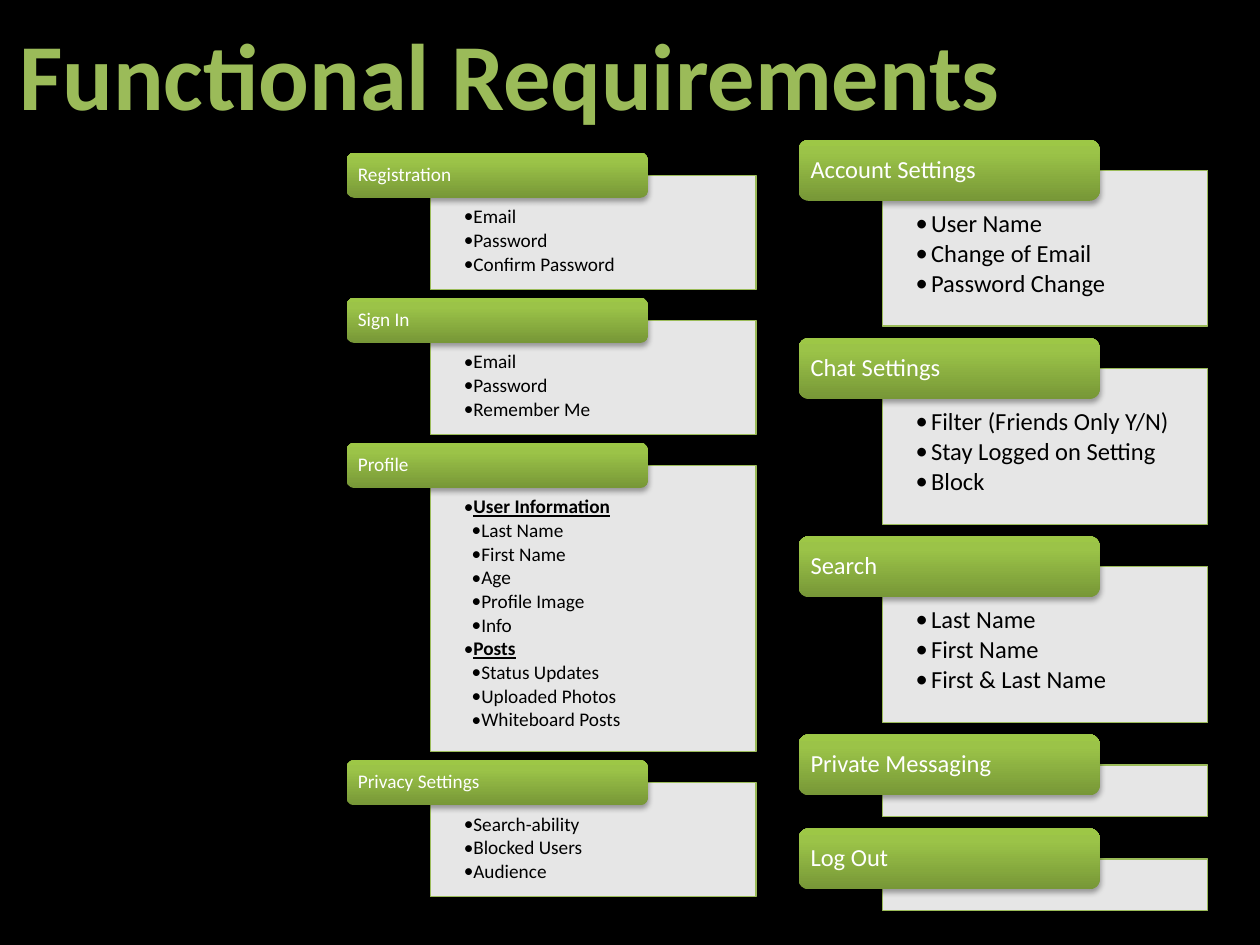
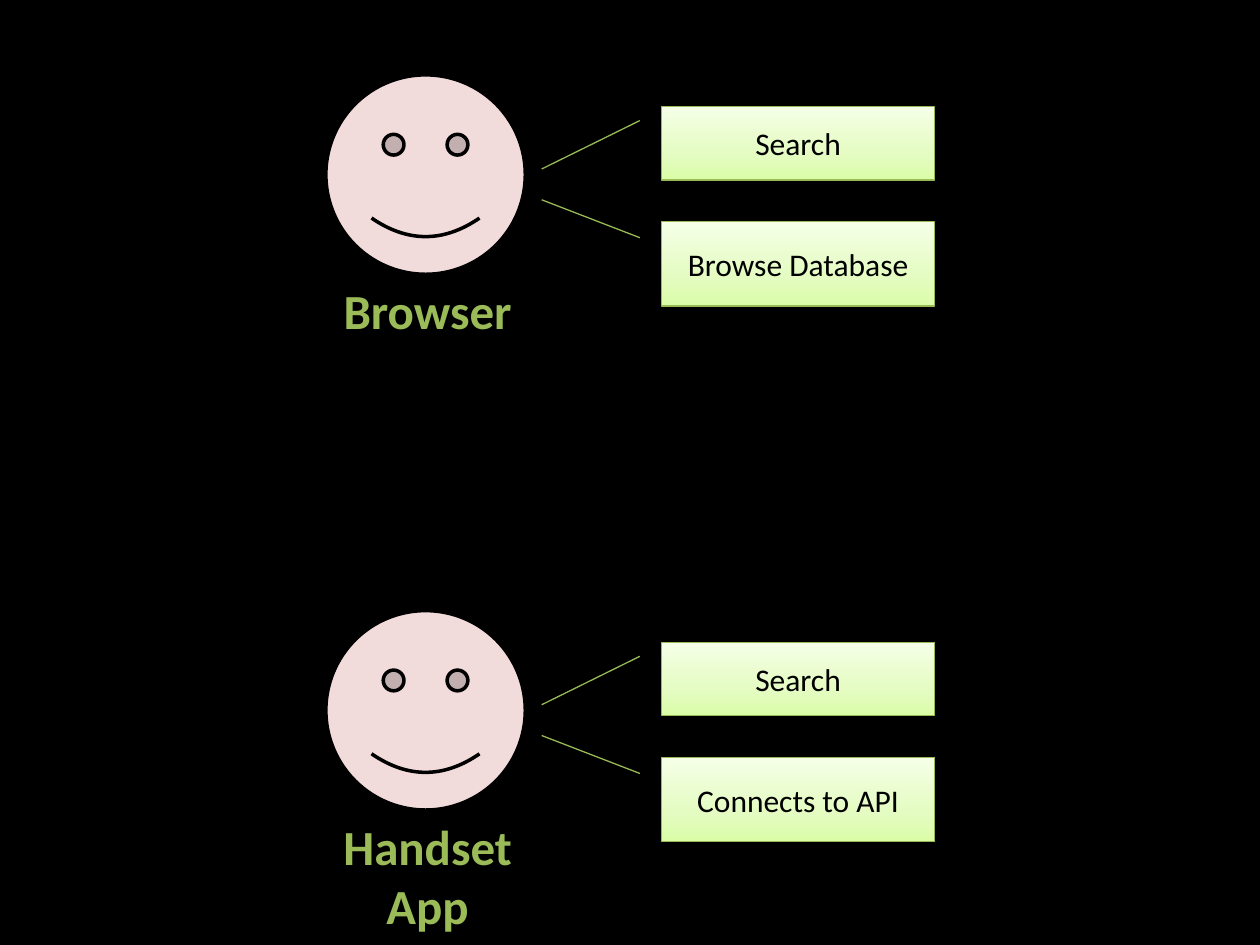
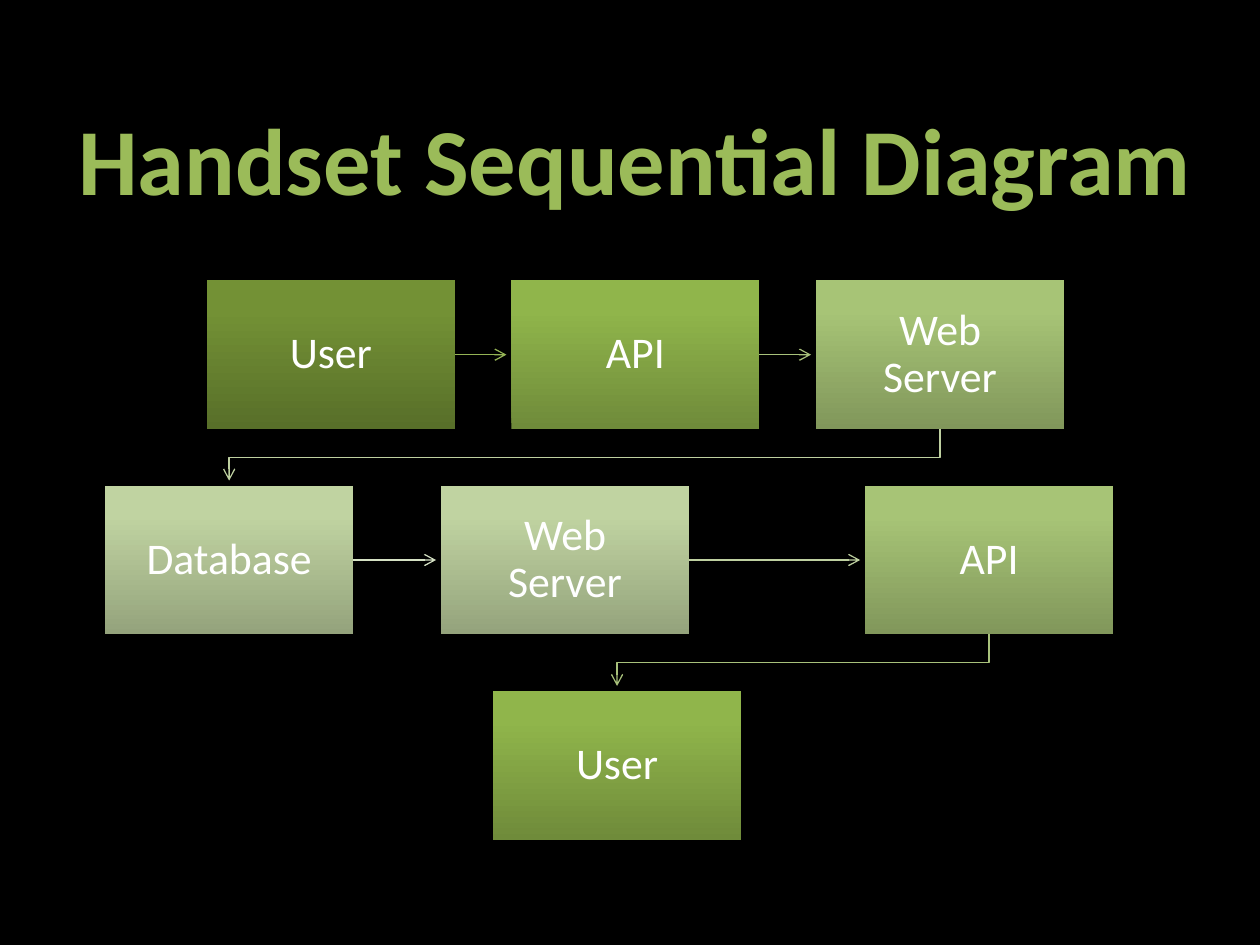
import dataclasses

import lxml.etree
import pptx
import pptx.dml.color
import pptx.enum.shapes
import pptx.enum.text
import pptx.oxml
import pptx.oxml.ns
import pptx.util

Cm = pptx.util.Cm
Pt = pptx.util.Pt
qn = pptx.oxml.ns.qn
SHAPES = pptx.enum.shapes.MSO_SHAPE
ALIGN = pptx.enum.text.PP_ALIGN
ANCHOR = pptx.enum.text.MSO_ANCHOR


@dataclasses.dataclass(frozen=True)
class Theme:
    font: str = "Calibri"
    background: str = "000000"
    ink: str = "000000"
    light: str = "FFFFFF"
    accent: str = "9BBB59"
    callout_line: str = "98B955"
    face: str = "F2DCDB"
    tab: tuple = ((0, "779737"), (80, "9BC348"), (100, "9DC746"))
    callout: tuple = ((0, "DAFDA7"), (35, "E4FCC2"), (100, "F5FFE7"))
    dark_step: tuple = ((0, "586F29"), (80, "739135"), (100, "749334"))
    green_step: tuple = ((0, "6F8B3A"), (80, "90B54B"), (100, "91B849"))
    soft_step: tuple = ((0, "81975B"), (80, "A7C476"), (100, "A8C675"))
    pale_step: tuple = ((0, "94A37C"), (80, "C0D3A1"), (100, "C1D5A0"))
    links: tuple = ("94B355", "A8C17B", "BED0A0", "D5E1C4", "BED0A0", "A8C17B")
    title_size: int = 54
    label_size: int = 28
    step_size: int = 25
    callout_size: int = 18
    card_size: int = 11
    large_card_size: int = 14
    thin: float = 0.75
    thick: float = 2


@dataclasses.dataclass(frozen=True)
class CardStyle:
    size: int
    tab_height: float
    gap: float
    inset_top: float
    indent: float


class Builder:
    def __init__(self, theme):
        self.theme = theme
        self.deck = pptx.Presentation()
        self.deck.slide_width = Cm(25.4)
        self.deck.slide_height = Cm(19.05)
        fill = self.deck.slide_master.background.fill
        fill.solid()
        fill.fore_color.rgb = self.rgb(theme.background)
        self.page = None

    @staticmethod
    def rgb(color):
        return pptx.dml.color.RGBColor.from_string(color)

    def add_page(self, layout):
        self.page = self.deck.slides.add_slide(self.deck.slide_layouts.get_by_name(layout))

    def add_span(self, para, text, size, color, bold=False, underline=False):
        span = para.add_run()
        span.text = text
        span.font.name = self.theme.font
        span.font.size = Pt(size)
        span.font.bold = bold
        span.font.underline = underline
        span.font.color.rgb = self.rgb(color)

    def heading(self, box, text, size):
        frame = box.text_frame
        frame.word_wrap = False
        frame.auto_size = pptx.enum.text.MSO_AUTO_SIZE.SHAPE_TO_FIT_TEXT
        frame.paragraphs[0].alignment = ALIGN.CENTER
        self.add_span(frame.paragraphs[0], text, size, self.theme.accent, bold=True)

    def title(self, text, left, top, width):
        self.add_page("Title Only")
        box = self.page.shapes.title
        box.left, box.top, box.width, box.height = Cm(left), Cm(top), Cm(width), Cm(2.57)
        self.heading(box, text, self.theme.title_size)

    def label(self, text, left, top, width):
        box = self.page.shapes.add_textbox(Cm(left), Cm(top), Cm(width), Cm(1.45))
        self.heading(box, text, self.theme.label_size)

    def gradient(self, box, stops):
        box.fill.background()
        blank = box.fill._xPr.find(qn("a:noFill"))
        grad = lxml.etree.Element(qn("a:gradFill"), rotWithShape="1")
        stop_list = lxml.etree.SubElement(grad, qn("a:gsLst"))
        for position, color in stops:
            stop = lxml.etree.SubElement(stop_list, qn("a:gs"), pos=str(position * 1000))
            lxml.etree.SubElement(stop, qn("a:srgbClr"), val=color)
        lxml.etree.SubElement(grad, qn("a:lin"), ang="16200000", scaled="0")
        blank.getparent().replace(blank, grad)

    def drop_shadow(self, box, opacity):
        effects = box._element.spPr.find(qn("a:effectLst"))
        shadow = lxml.etree.SubElement(
            effects, qn("a:outerShdw"), blurRad=str(Pt(3.1)), dist=str(Pt(1.8)),
            dir="5400000", rotWithShape="0")
        color = lxml.etree.SubElement(shadow, qn("a:srgbClr"), val="000000")
        lxml.etree.SubElement(color, qn("a:alpha"), val=str(opacity * 1000))

    def shape(self, kind, left, top, width, height, fill, line=None, weight=0.75, shadow=0):
        box = self.page.shapes.add_shape(kind, Cm(left), Cm(top), Cm(width), Cm(height))
        box.shadow.inherit = False
        if isinstance(fill, tuple):
            self.gradient(box, fill)
        else:
            box.fill.solid()
            box.fill.fore_color.rgb = self.rgb(fill)
        if line:
            box.line.color.rgb = self.rgb(line)
            box.line.width = Pt(weight)
        else:
            box.line.fill.background()
        if shadow:
            self.drop_shadow(box, shadow)
        return box

    def caption(self, box, text, size, color, align=ALIGN.CENTER, insets=(0.25, 0.13),
                spacing=0.9):
        frame = box.text_frame
        frame.word_wrap = True
        frame.vertical_anchor = ANCHOR.MIDDLE
        frame.margin_left = frame.margin_right = Cm(insets[0])
        frame.margin_top = frame.margin_bottom = Cm(insets[1])
        para = frame.paragraphs[0]
        para.alignment = align
        para.line_spacing = spacing
        self.add_span(para, text, size, color)

    def bullets(self, box, items, style):
        frame = box.text_frame
        frame.word_wrap = True
        frame.vertical_anchor = ANCHOR.TOP
        frame.margin_left = frame.margin_right = Cm(0.67)
        frame.margin_top = Cm(style.inset_top)
        frame.margin_bottom = Cm(0.25)
        grouped = any(item.startswith("#") for item in items)
        for index, item in enumerate(items):
            para = frame.add_paragraph() if index else frame.paragraphs[0]
            is_head = item.startswith("#")
            para.level = 2 if grouped and not is_head else 1
            para.alignment = ALIGN.LEFT
            para.line_spacing = 0.9
            para.space_after = Pt(style.size * 0.15)
            props = para._p.get_or_add_pPr()
            props.set("marL", str(Cm(style.indent * para.level)))
            props.set("indent", str(-Cm(style.indent)))
            lxml.etree.SubElement(props, qn("a:buFont"), typeface=self.theme.font)
            lxml.etree.SubElement(props, qn("a:buChar"), char="•")
            self.add_span(para, item.lstrip("#"), style.size, self.theme.ink, is_head, is_head)

    def card_column(self, left, top, cards, style):
        for name, body_height, items in cards:
            body_top = top + style.tab_height / 2
            body = self.shape(SHAPES.RECTANGLE, left + 1.69, body_top, 6.56, body_height,
                              self.theme.light, self.theme.accent, self.theme.thin)
            color = body.fill._xPr.find(qn("a:solidFill"))[0]
            lxml.etree.SubElement(color, qn("a:alpha"), val="90000")
            if items:
                self.bullets(body, items, style)
            tab = self.shape(SHAPES.ROUNDED_RECTANGLE, left, top, 6.07, style.tab_height,
                             self.theme.tab, shadow=35)
            self.caption(tab, name, style.size, self.theme.light, ALIGN.LEFT, (0.18, 0))
            top = body_top + body_height + style.gap

    def callout(self, text, top, height, pointer):
        box = self.shape(SHAPES.LINE_CALLOUT_1, 13.34, top, 5.5, height, self.theme.callout,
                         self.theme.callout_line, self.theme.thin, shadow=38)
        for index, value in enumerate((0.19, -0.08) + pointer):
            box.adjustments[index] = value
        self.caption(box, text, self.theme.callout_size, self.theme.ink, spacing=1.0)

    def actor(self, name, top, uses):
        self.shape(SHAPES.SMILEY_FACE, 6.57, top, 4.02, 4.02,
                   self.theme.face, self.theme.ink, self.theme.thick)
        self.label(name, 5.75, top + 4.03, 5.74)
        self.callout(uses[0], top + 0.64, 1.48, (0.85, -0.44))
        self.callout(uses[1], top + 2.96, 1.7, (-0.26, -0.44))

    def step(self, text, left, top, width, height, fill):
        box = self.shape(SHAPES.RECTANGLE, left, top, width, height, fill, shadow=35)
        self.caption(box, text, self.theme.step_size, self.theme.light, insets=(0.49, 0.49))
        return box

    def arrow_line(self, line, color):
        line.color.rgb = self.rgb(color)
        line.width = Pt(self.theme.thin)
        lxml.etree.SubElement(line._get_or_add_ln(), qn("a:tailEnd"), type="arrow")

    def link(self, source, target, color):
        clearance = Cm(0.1)
        if source.top == target.top:
            middle = source.top + source.height // 2
            arrow = self.page.shapes.add_connector(
                pptx.enum.shapes.MSO_CONNECTOR.STRAIGHT,
                source.left + source.width, middle, target.left - clearance, middle)
            arrow.begin_connect(source, 3)
            self.arrow_line(arrow.line, color)
            lxml.etree.SubElement(arrow._element.spPr, qn("a:effectLst"))
            return
        start_x = source.left + source.width // 2
        end_x = target.left + target.width // 2
        bottom = source.top + source.height
        turn = (bottom + target.top) // 2
        route = self.page.shapes.build_freeform(start_x, bottom)
        route.add_line_segments(
            [(start_x, turn), (end_x, turn), (end_x, target.top - clearance)], close=False)
        arrow = route.convert_to_shape()
        arrow.shadow.inherit = False
        arrow.fill.background()
        self.arrow_line(arrow.line, color)


def requirements_page(builder):
    theme = builder.theme
    builder.title("Functional Requirements", 0.03, 0.18, 20.5)
    builder.card_column(6.99, 3.08, [
        ("Registration", 2.3, ["Email", "Password", "Confirm Password"]),
        ("Sign In", 2.3, ["Email", "Password", "Remember Me"]),
        ("Profile", 5.77, ["#User Information", "Last Name", "First Name", "Age",
                           "Profile Image", "Info", "#Posts", "Status Updates",
                           "Uploaded Photos", "Whiteboard Posts"]),
        ("Privacy Settings", 2.3, ["Search-ability", "Blocked Users", "Audience"]),
    ], CardStyle(theme.card_size, 0.91, 0.17, 0.64, 0.16))
    builder.card_column(16.1, 2.82, [
        ("Account Settings", 3.14, ["User Name", "Change of Email", "Password Change"]),
        ("Chat Settings", 3.14, ["Filter (Friends Only Y/N)", "Stay Logged on Setting",
                                 "Block"]),
        ("Search", 3.14, ["Last Name", "First Name", "First & Last Name"]),
        ("Private Messaging", 1.04, []),
        ("Log Out", 1.04, []),
    ], CardStyle(theme.large_card_size, 1.23, 0.24, 0.82, 0.31))


def use_case_page(builder):
    builder.add_page("Blank")
    builder.actor("Browser", 1.51, ("Search", "Browse Database"))
    builder.actor("Handset App", 12.31, ("Search", "Connects to API"))


def sequence_page(builder):
    theme = builder.theme
    builder.title("Handset Sequential Diagram", 1.3, 1.9, 23)
    rows = [
        [("User", 4.17, theme.dark_step), ("API", 10.31, theme.green_step),
         ("Web Server", 16.45, theme.soft_step)],
        [("Database", 2.12, theme.pale_step), ("Web Server", 8.89, theme.pale_step),
         ("API", 17.44, theme.soft_step)],
        [("User", 9.94, theme.green_step)],
    ]
    steps = [builder.step(text, left, 5.65 + 4.14 * row, 5, 3, fill)
             for row, items in enumerate(rows) for text, left, fill in items]
    for source, target, color in zip(steps, steps[1:], theme.links):
        builder.link(source, target, color)


def main():
    builder = Builder(Theme())
    requirements_page(builder)
    use_case_page(builder)
    sequence_page(builder)
    builder.deck.save("out.pptx")


if __name__ == "__main__":
    main()
